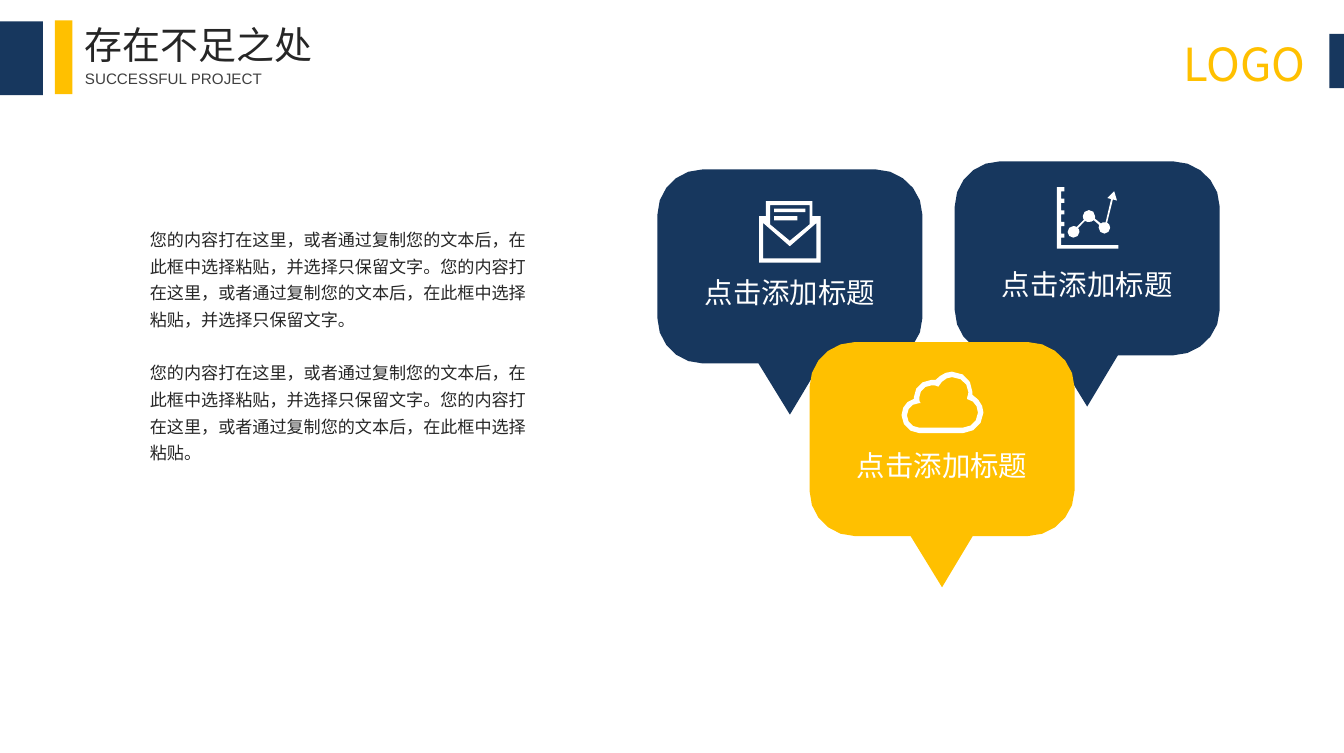
from pptx import Presentation
from pptx.dml.color import RGBColor
from pptx.enum.shapes import MSO_SHAPE
from pptx.enum.text import MSO_ANCHOR as ANCHOR, MSO_AUTO_SIZE, PP_ALIGN as ALIGN
from pptx.oxml.ns import qn
from pptx.util import Cm, Pt
from lxml.etree import SubElement

NAVY = RGBColor(0x17, 0x37, 0x5E)
GOLD = RGBColor(0xFF, 0xC0, 0x00)
WHITE = RGBColor(0xFF, 0xFF, 0xFF)
INK = RGBColor(0x26, 0x26, 0x26)
GREY = RGBColor(0x40, 0x40, 0x40)
CJK = "Noto Sans CJK SC"
GRID = Cm(2.54) / 100  # drawing unit for the outlines below

# Content
TITLE = "存在不足之处"
SUBTITLE = "SUCCESSFUL PROJECT"
LOGO_TEXT = "LOGO"
BODY = [
    "您的内容打在这里，或者通过复制您的文本后，在此框中选择粘贴，并选择只保留文字。"
    "您的内容打在这里，或者通过复制您的文本后，在此框中选择粘贴，并选择只保留文字。",
    "您的内容打在这里，或者通过复制您的文本后，在此框中选择粘贴，并选择只保留文字。"
    "您的内容打在这里，或者通过复制您的文本后，在此框中选择粘贴。",
]
BUBBLES = [  # label, colour, left and top in cm
    ("点击添加标题", NAVY, 12.23, 3.15),
    ("点击添加标题", NAVY, 17.76, 3.0),
    ("点击添加标题", GOLD, 15.06, 6.36),
]
BARS = [  # colour, left, top, width, height in cm
    (NAVY, 0, 0.4, 0.8, 1.37),
    (GOLD, 1.02, 0.38, 0.33, 1.37),
    (NAVY, 24.73, 0.63, 0.27, 1.01),
]

# Outlines in grid units: two numbers make a line, six a Bézier curve
BUBBLE = [[
    (33, 0), (160, 0), (178, 0, 194, 15, 194, 33), (194, 109),
    (194, 127, 178, 142, 160, 142), (119.5, 142), (97, 179.5), (74, 142),
    (33, 142), (15, 142, 0, 127, 0, 109), (0, 33), (0, 15, 15, 0, 33, 0),
]]
ENVELOPE = [
    [(39, 11), (39, 0), (5, 0), (5, 11), (0, 11), (0, 45), (45, 45), (45, 11)],
    [(8, 3), (37, 3), (37, 17), (22.5, 29), (8, 17)],
    [(42, 42), (3, 42), (3, 16), (22.5, 33), (42, 16)],
    [(11, 5.5), (34, 5.5), (34, 8), (11, 8)],
    [(11, 11), (28, 11), (28, 14), (11, 14)],
]
CLOUD = [
    [(37, 0), (32, 0, 28, 3, 25, 6), (24, 6, 23, 6, 22, 6),
     (15, 6, 9, 12, 9, 19), (9, 20), (4, 21, 0, 26, 0, 32),
     (0, 39, 6, 45, 13, 45), (45, 45), (53, 45, 60, 38, 60, 30),
     (60, 25, 57, 20, 52, 17), (52, 15), (52, 7, 46, 0, 37, 0)],
    [(37, 4), (44, 4, 49, 9, 49, 15), (49, 17, 48, 18, 48, 20),
     (53, 21, 56, 25, 56, 30), (56, 36, 51, 41, 45, 41), (13, 41),
     (8, 41, 4, 37, 4, 32), (4, 27, 8, 23, 13, 23), (14, 23),
     (13, 22, 13, 20, 13, 19), (13, 14, 17, 10, 22, 10),
     (24, 10, 25, 10, 27, 11), (29, 7, 33, 4, 37, 4)],
]
TICKS = [8.5 * i for i in range(5)]
AXES = [(45, 42.5), (45, 45), (0, 45), (0, 0)] + [
    point for y in TICKS
    for point in ((3, y), (5.5, y), (5.5, y + 3), (3, y + 3))
][1:] + [(3, 42.5)]
TREND = [
    (12, 37), (14.5, 37, 16.5, 35, 16.5, 32.8), (16.5, 31.5, 16, 30.5, 15.5, 30),
    (20.5, 24.7), (21.5, 25.2, 22.5, 25.5, 23.4, 25.5), (25, 25.5, 26, 25, 27, 24.2),
    (31, 27.7), (30.7, 28.3, 30.6, 29, 30.6, 29.8), (30.6, 32, 32.5, 34, 34.8, 34),
    (37, 34, 39, 32, 39, 29.8), (39, 28, 38, 26.5, 36.8, 26),
    (41, 9), (44, 9.8), (42, 3), (37, 8), (39.7, 8.7),
    (35.7, 25.7), (34, 25.5, 33, 26, 32.2, 26.6),
    (27.8, 23), (28, 22.3, 27.9, 22, 27.9, 21.1), (27.9, 18.5, 26, 16.8, 23.4, 16.8),
    (21, 16.8, 19, 18.8, 19, 21.1), (19, 22.2, 19.3, 23, 19.8, 23.8),
    (14.5, 29.2), (13.8, 28.7, 13, 28.5, 12, 28.5),
    (9.7, 28.5, 7.8, 30.5, 7.8, 32.8), (7.8, 35, 9.7, 37, 12, 37),
]
ICONS = [  # outlines, left and top in cm, steps to a curve
    ([AXES, TREND], 19.66, 3.48, 2),
    (CLOUD, 16.77, 6.91, 3),
    (ENVELOPE, 14.12, 3.74, 1),
]

deck = Presentation()
deck.slide_width, deck.slide_height = Cm(25), Cm(14)
slide = deck.slides.add_slide(deck.slide_layouts[5])
shapes = slide.shapes


def paint(shape, colour):
    shape.shadow.inherit = False
    shape.fill.solid()
    shape.fill.fore_color.rgb = colour
    shape.line.fill.background()
    return shape


def flatten(outline, steps):
    """Turn lines and Bézier curves into a list of points."""
    points = []
    for part in outline:
        if len(part) == 2:
            points.append(part)
            continue
        (x0, y0), (x1, y1, x2, y2, x3, y3) = points[-1], part
        for i in range(1, steps + 1):
            t = i / steps
            a, b, c, d = (1 - t) ** 3, 3 * t * (1 - t) ** 2, 3 * t * t * (1 - t), t ** 3
            points.append((a * x0 + b * x1 + c * x2 + d * x3,
                           a * y0 + b * y1 + c * y2 + d * y3))
    return points


def draw(outlines, left, top, colour, steps):
    builder = None
    for outline in outlines:
        points = [(Cm(left) + x * GRID, Cm(top) + y * GRID)
                  for x, y in flatten(outline, steps)]
        if builder is None:
            builder = shapes.build_freeform(*points[0], scale=1.0)
        else:
            builder.move_to(*points[0])
        builder.add_line_segments(points[1:], close=True)
    return paint(builder.convert_to_shape(), colour)


def write(frame, *texts, size, colour, font=CJK, align=ALIGN.LEFT,
          anchor=ANCHOR.TOP, inset=(0, 0), leading=None, gap=0):
    frame.word_wrap = True
    frame.auto_size = MSO_AUTO_SIZE.NONE
    frame.vertical_anchor = anchor
    frame.margin_left = frame.margin_right = Cm(inset[0])
    frame.margin_top = frame.margin_bottom = Cm(inset[1])
    for i, text in enumerate(texts):
        paragraph = frame.add_paragraph() if i else frame.paragraphs[0]
        paragraph.alignment = align
        if leading:
            paragraph.line_spacing = Pt(leading)
        if i:
            paragraph.space_before = Pt(gap)
        run = paragraph.add_run()
        run.text = text
        run.font.size, run.font.name = Pt(size), font
        run.font.color.rgb = colour
        SubElement(run.font._element, qn("a:ea")).set("typeface", CJK)


def text_box(left, top, width, height):
    return shapes.add_textbox(Cm(left), Cm(top), Cm(width), Cm(height)).text_frame


# Speech bubbles
for label, colour, left, top in BUBBLES:
    bubble = draw(BUBBLE, left, top, colour, steps=5)
    write(bubble.text_frame, label, size=15, colour=WHITE, align=ALIGN.CENTER,
          anchor=ANCHOR.MIDDLE, inset=(0.18, 0.1))

# Line chart, cloud and envelope icons
for outlines, left, top, steps in ICONS:
    draw(outlines, left, top, WHITE, steps)

# Body text
write(text_box(2.54, 4.02, 7.8, 5.26), *BODY, size=9, colour=INK,
      inset=(0.25, 0.13), leading=14.05, gap=14.05)

# Header
for colour, *box in BARS:
    paint(shapes.add_shape(MSO_SHAPE.RECTANGLE, *map(Cm, box)), colour)
write(text_box(21.83, 0.56, 3.17, 1.22), LOGO_TEXT, size=24, colour=GOLD,
      inset=(0.18, 0.1))
title = shapes.title
title.left, title.top, title.width, title.height = map(Cm, (1.57, 0.39, 4.5, 0.86))
write(title.text_frame, TITLE, size=20, colour=INK, font="Arial", anchor=ANCHOR.MIDDLE)
write(text_box(1.58, 1.3, 4.5, 0.33), SUBTITLE, size=8, colour=GREY, font="Arial",
      anchor=ANCHOR.MIDDLE)

deck.save("out.pptx")
